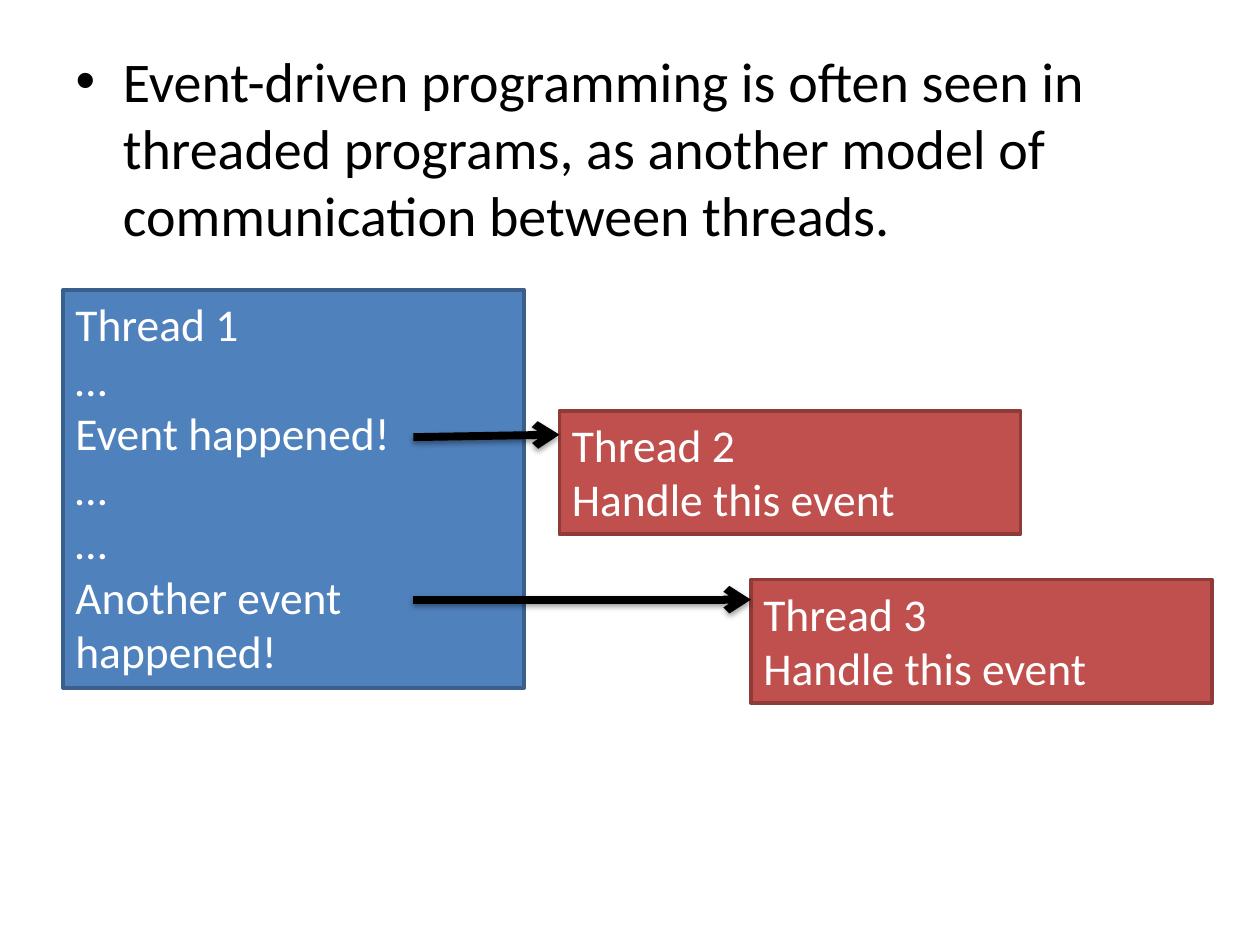
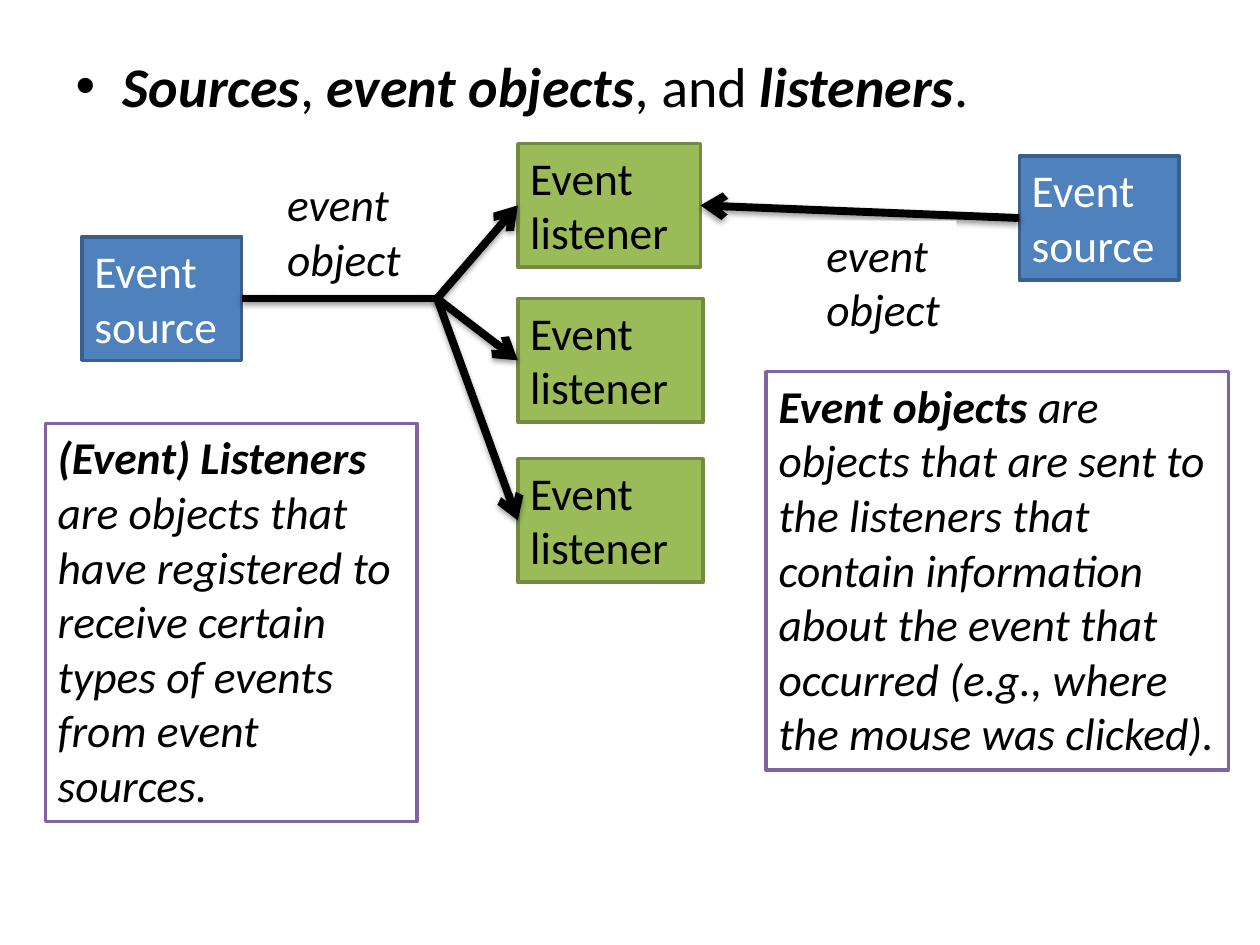
import pptx
import pptx.util
import pptx.dml.color
import pptx.enum.shapes
import pptx.enum.text
import pptx.oxml
import pptx.oxml.ns

Pt = pptx.util.Pt
RGBColor = pptx.dml.color.RGBColor

BLACK = RGBColor(0x00, 0x00, 0x00)
WHITE = RGBColor(0xFF, 0xFF, 0xFF)
BLUE = RGBColor(0x4F, 0x81, 0xBD)
DARK_BLUE = RGBColor(0x3A, 0x5F, 0x8C)
RED = RGBColor(0xC0, 0x50, 0x4D)
DARK_RED = RGBColor(0x8E, 0x3B, 0x39)
GREEN = RGBColor(0x9B, 0xBB, 0x59)
DARK_GREEN = RGBColor(0x73, 0x8A, 0x42)
PURPLE = RGBColor(0x80, 0x64, 0xA2)

SOURCE_STYLE = (BLUE, DARK_BLUE, WHITE)
HANDLER_STYLE = (RED, DARK_RED, WHITE)
LISTENER_STYLE = (GREEN, DARK_GREEN, BLACK)
NOTE_STYLE = (WHITE, PURPLE, BLACK)
LABEL_STYLE = (WHITE, None, BLACK)

FONT = "Calibri"
TWO_LINES = 70.6
SEVEN_LINES = 227.5
THREAD_W = 263.5
SOURCE_W = 91.4

SHADOW = (
    f'<a:effectLst {pptx.oxml.ns.nsdecls("a")}>'
    '<a:outerShdw blurRad="40000" dist="20000" dir="5400000" rotWithShape="0">'
    '<a:srgbClr val="000000"><a:alpha val="38000"/></a:srgbClr>'
    '</a:outerShdw></a:effectLst>'
)
ARROWHEAD = f'<a:tailEnd {pptx.oxml.ns.nsdecls("a")} type="arrow"/>'


def set_font(p, size, color, italic=None):
    p.font.name = FONT
    p.font.size = Pt(size)
    p.font.color.rgb = color
    p.font.italic = italic


def add_bullet(s, top, height, runs):
    s.shapes.title.element.getparent().remove(s.shapes.title.element)
    body = s.placeholders[1]
    body.left, body.top, body.width, body.height = Pt(36), Pt(top), Pt(648), Pt(height)
    p = body.text_frame.paragraphs[0]
    set_font(p, 32, BLACK)
    for text, strong in runs:
        r = p.add_run()
        r.text = text
        r.font.bold = r.font.italic = strong


def add_box(s, left, top, width, height, style, lines, italic=False, lead=""):
    fill, line, color = style
    sp = s.shapes.add_shape(pptx.enum.shapes.MSO_SHAPE.RECTANGLE,
                            Pt(left), Pt(top), Pt(width), Pt(height))
    sp.shadow.inherit = False
    sp.fill.solid()
    sp.fill.fore_color.rgb = fill
    if line is None:
        sp.line.fill.background()
    else:
        sp.line.color.rgb = line
        sp.line.width = Pt(2)
    tf = sp.text_frame
    tf.word_wrap = True
    tf.auto_size = pptx.enum.text.MSO_AUTO_SIZE.SHAPE_TO_FIT_TEXT
    tf.vertical_anchor = pptx.enum.text.MSO_ANCHOR.TOP
    for i, text in enumerate(lines):
        p = tf.add_paragraph() if i else tf.paragraphs[0]
        p.alignment = pptx.enum.text.PP_ALIGN.LEFT
        set_font(p, 26, color, italic)
        if lead:
            r = p.add_run()
            r.text = lead
            r.font.bold = True
        p.add_run().text = text


def add_line(s, start, end, arrow=True):
    cn = s.shapes.add_connector(pptx.enum.shapes.MSO_CONNECTOR.STRAIGHT,
                                *(Pt(v) for v in (*start, *end)))
    cn.line.color.rgb = BLACK
    cn.line.width = Pt(4.5)
    if arrow:
        cn.line._get_or_add_ln().append(pptx.oxml.parse_xml(ARROWHEAD))
    cn._element.spPr.append(pptx.oxml.parse_xml(SHADOW))


def add_threads(s, left, top):
    add_box(s, left, top, THREAD_W, SEVEN_LINES, SOURCE_STYLE,
            ["Thread 1", "…", "Event happened!", "…", "…", "Another event happened!"])
    handlers = [("Thread 2", 283.7, 69.1, 84.2, 82.8),
                ("Thread 3", 393.1, 165.6, 177.1, 177.1)]
    for name, x, y, _, _ in handlers:
        add_box(s, left + x, top + y, THREAD_W, TWO_LINES, HANDLER_STYLE,
                [name, "Handle this event"])
    for _, x, _, y_from, y_to in handlers:
        add_line(s, (left + 200.2, top + y_from), (left + x, top + y_to))


def add_source(s, left, top):
    add_box(s, left, top, SOURCE_W, TWO_LINES, SOURCE_STYLE, ["Event source"])


def add_label(s, left, top):
    add_box(s, left, top, 81.4, TWO_LINES, LABEL_STYLE, ["event object"], italic=True)


def add_event_flow(s, left, top):
    listener_x = left + 249.1
    listeners = [(0, 104.4), (88.5, 105.8), (180, 105.8)]
    mid = TWO_LINES / 2
    hub = (left + 203, top + 88.5)
    add_source(s, left, hub[1] - mid)
    for y, width in listeners:
        add_box(s, listener_x, top + y, width, TWO_LINES, LISTENER_STYLE, ["Event listener"])
    add_line(s, (left + SOURCE_W, hub[1]), hub, arrow=False)
    for y, _ in listeners:
        add_line(s, hub, (listener_x, top + y + mid))
    add_label(s, left + 110.2, top + 15.1)
    add_source(s, left + 535.7, top + 7.2)
    add_line(s, (left + 535.7, top + 7.2 + mid), (listener_x + 104.4, top + mid))
    add_label(s, left + 418.3, top + 43.9)


def add_note(s, left, top, width, term, text):
    add_box(s, left, top, width, SEVEN_LINES, NOTE_STYLE, [text], italic=True, lead=term)


def add_thread_slide(prs):
    s = prs.slides.add_slide(prs.slide_layouts[1])
    add_bullet(s, 23, 459.4, [(
        "Event-driven programming is often seen in threaded programs, "
        "as another model of communication between threads.", False)])
    add_threads(s, 36, 165.6)


def add_event_slide(prs):
    s = prs.slides.add_slide(prs.slide_layouts[1])
    add_bullet(s, 26, 456.5, [("Sources", True), (", ", False), ("event objects", True),
                              (", and ", False), ("listeners", True), (".", False)])
    add_event_flow(s, 46.8, 82.1)
    add_note(s, 25.9, 241.9, 212.4, "(Event) Listeners ",
             "are objects that have registered to receive certain types of events "
             "from event sources.")
    add_note(s, 437.8, 212.4, 264.2, "Event objects ",
             "are objects that are sent to the listeners that contain information "
             "about the event that occurred (e.g., where the mouse was clicked).")


def main():
    prs = pptx.Presentation()
    prs.slide_width, prs.slide_height = Pt(720), Pt(540)
    add_thread_slide(prs)
    add_event_slide(prs)
    prs.save("out.pptx")


if __name__ == "__main__":
    main()
